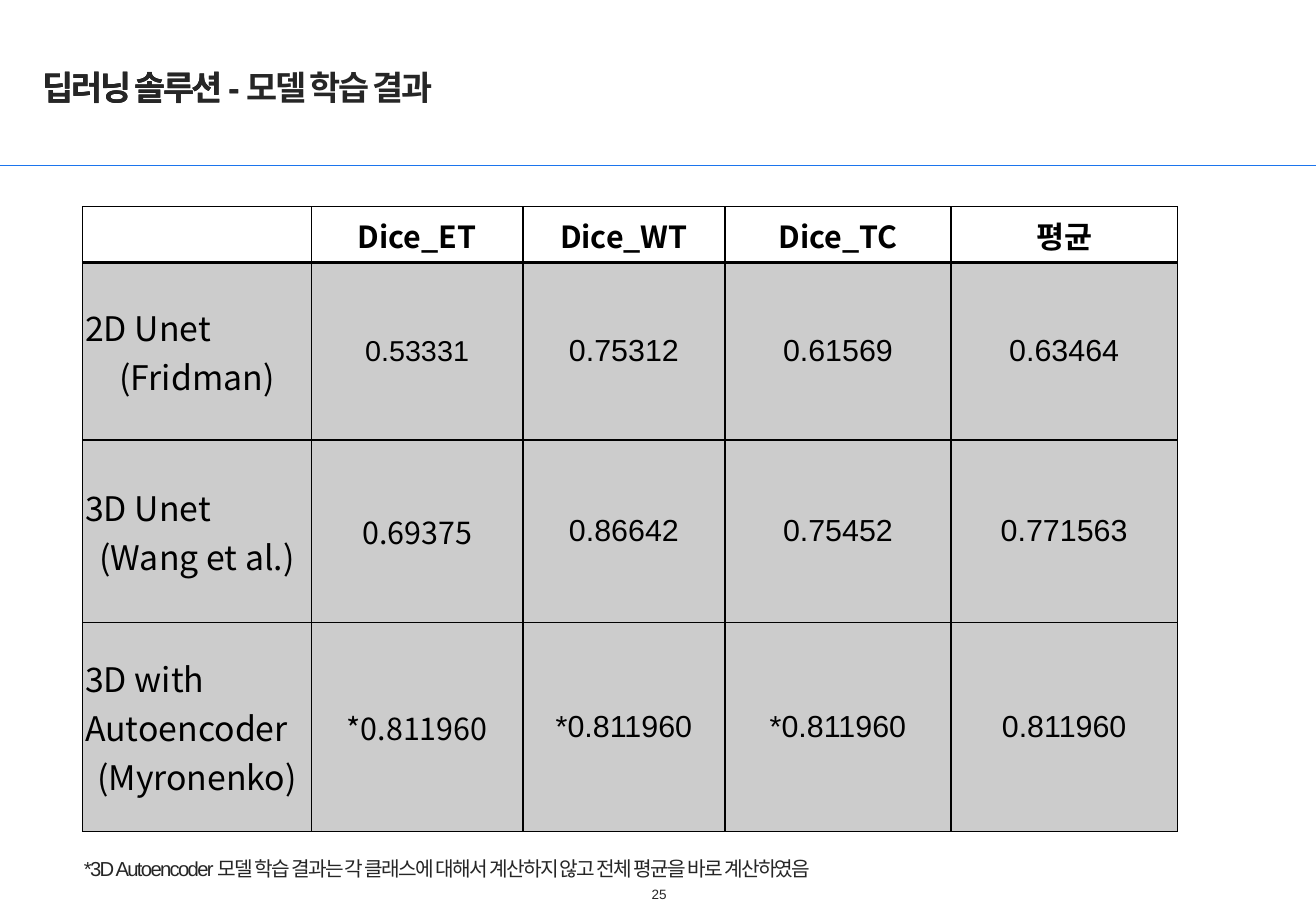
from lxml import etree
from pptx import Presentation
from pptx.dml.color import RGBColor
from pptx.enum.shapes import MSO_CONNECTOR
from pptx.enum.text import MSO_ANCHOR, PP_ALIGN
from pptx.oxml.ns import qn
from pptx.util import Inches, Pt

BLACK = RGBColor(0x00, 0x00, 0x00)
DARK_GRAY = RGBColor(0x26, 0x26, 0x26)
BLUE = RGBColor(0x1C, 0x75, 0xED)
LEFT, CENTER = PP_ALIGN.LEFT, PP_ALIGN.CENTER
TOP, MIDDLE = MSO_ANCHOR.TOP, MSO_ANCHOR.MIDDLE
STRAIGHT = MSO_CONNECTOR.STRAIGHT
LATIN_FONT = "Arial"
KOREAN_FONT = "Noto Sans CJK KR"

COLUMN_WIDTHS = [1.88, 1.74, 1.66, 1.86, 1.86]
ROW_HEIGHTS = [0.46, 1.46, 1.5, 1.72]
HEADERS = ["", "Dice_ET", "Dice_WT", "Dice_TC", "평균"]
RESULTS = [
    (["2D Unet", "(Fridman)"], ["0.53331", "0.75312", "0.61569", "0.63464"]),
    (["3D Unet", "(Wang et al.)"], ["0.69375", "0.86642", "0.75452", "0.771563"]),
    (["3D with Autoencoder", "(Myronenko)"],
     ["*0.811960", "*0.811960", "*0.811960", "0.811960"]),
]


def set_font(paragraph, size, name=LATIN_FONT, color=BLACK, bold=False):
    font = paragraph.font
    font.size = Pt(size)
    font.name = name
    font.bold = bold
    font.color.rgb = color


def set_margins(target, margin):
    target.margin_left = target.margin_right = Inches(margin)
    target.margin_top = target.margin_bottom = Inches(margin)


def add_text(slide, box, text, size, color=DARK_GRAY, bold=False, spacing=0,
             margin=0.05, alignment=LEFT, wrap=True, line_spacing=None):
    shape = slide.shapes.add_textbox(*map(Inches, box))
    frame = shape.text_frame
    frame.word_wrap = wrap
    frame.vertical_anchor = MIDDLE
    set_margins(frame, margin)
    paragraph = frame.paragraphs[0]
    paragraph.alignment = alignment
    paragraph.line_spacing = line_spacing
    run = paragraph.add_run()
    run.text = text
    if spacing:
        run.font._element.set("spc", str(round(spacing * 100)))
    set_font(paragraph, size, color=color, bold=bold)


def add_header(slide, box):
    left, top, width, height = box
    for text, color in [("딥러닝 솔루션 -", BLACK),
                        ("딥러닝 솔루션 - 모델 학습 결과", DARK_GRAY)]:
        add_text(slide, (left + 0.3, top + 0.41, 8.45, 0.61), text, 20,
                 color, bold=True, spacing=-1.4)
    rule = slide.shapes.add_connector(
        STRAIGHT, Inches(left), Inches(top + height),
        Inches(left + width), Inches(top + height))
    rule.line.color.rgb = BLUE
    rule.line.width = Pt(1)
    etree.SubElement(rule._element.spPr, qn("a:effectLst"))


def set_borders(cell, top=1, bottom=1):
    properties = cell._tc.get_or_add_tcPr()
    for side, width in [("L", 1), ("R", 1), ("T", top), ("B", bottom)]:
        line = etree.SubElement(properties, qn(f"a:ln{side}"), w=str(Pt(width)))
        fill = etree.SubElement(line, qn("a:solidFill"))
        etree.SubElement(fill, qn("a:srgbClr"), val=str(BLACK))


def shade(cell):
    cell.fill.solid()
    cell.fill.fore_color.rgb = BLACK
    color = cell._tc.tcPr.find(f"{qn('a:solidFill')}/{qn('a:srgbClr')}")
    etree.SubElement(color, qn("a:alpha"), val="20000")


def write_cell(cell, lines, size, name, margin, bold=False, anchor=MIDDLE):
    cell.vertical_anchor = anchor
    set_margins(cell, margin)
    frame = cell.text_frame
    frame.text = "\n".join(lines)
    for paragraph in frame.paragraphs:
        paragraph.alignment = LEFT
        set_font(paragraph, size, name, bold=bold)
    frame.paragraphs[-1].alignment = CENTER


def add_results_table(slide, box):
    frame = slide.shapes.add_table(len(ROW_HEIGHTS), len(COLUMN_WIDTHS),
                                   *map(Inches, box))
    table = frame.table
    table.first_row = table.horz_banding = False
    for column, width in zip(table.columns, COLUMN_WIDTHS):
        column.width = Inches(width)
    for row, height in zip(table.rows, ROW_HEIGHTS):
        row.height = Inches(height)

    for index, header in enumerate(HEADERS):
        cell = table.cell(0, index)
        write_cell(cell, [header], 18, KOREAN_FONT, 0.05, bold=True, anchor=TOP)
        set_borders(cell, bottom=2)
        cell.fill.background()

    for row, (model, scores) in enumerate(RESULTS, start=1):
        margin = 0.05 if row == 1 else 0.02
        write_cell(table.cell(row, 0), model, 20, KOREAN_FONT, 0.02)
        for column, score in enumerate(scores, start=1):
            first_score = row == 1 and column == 1
            name = KOREAN_FONT if column == 1 and row > 1 else LATIN_FONT
            write_cell(table.cell(row, column), [score],
                       17 if first_score else 18, name, margin)
        for column in range(len(HEADERS)):
            cell = table.cell(row, column)
            set_borders(cell, top=2 if row == 1 else 1)
            shade(cell)


def add_footer(slide, box):
    left, top, width, height = box
    add_text(slide, (left, top, width, 0.37),
             "*3D Autoencoder 모델 학습 결과는 각 클래스에 대해서 계산하지 않고 "
             "전체 평균을 바로 계산하였음", 12, spacing=-1, line_spacing=0.9)
    add_text(slide, (left + 4.71, top + height - 0.14, 0.14, 0.14), "25", 8,
             margin=0, alignment=CENTER, wrap=False)


def main():
    presentation = Presentation()
    presentation.slide_width = Inches(10.82)
    presentation.slide_height = Inches(7.5)
    slide = presentation.slides.add_slide(presentation.slide_layouts[6])
    add_header(slide, (0, 0, 10.82, 1.36))
    add_results_table(slide, (0.68, 1.7, sum(COLUMN_WIDTHS), sum(ROW_HEIGHTS)))
    add_footer(slide, (0.64, 6.97, 7.05, 0.45))
    presentation.save("out.pptx")


if __name__ == "__main__":
    main()
